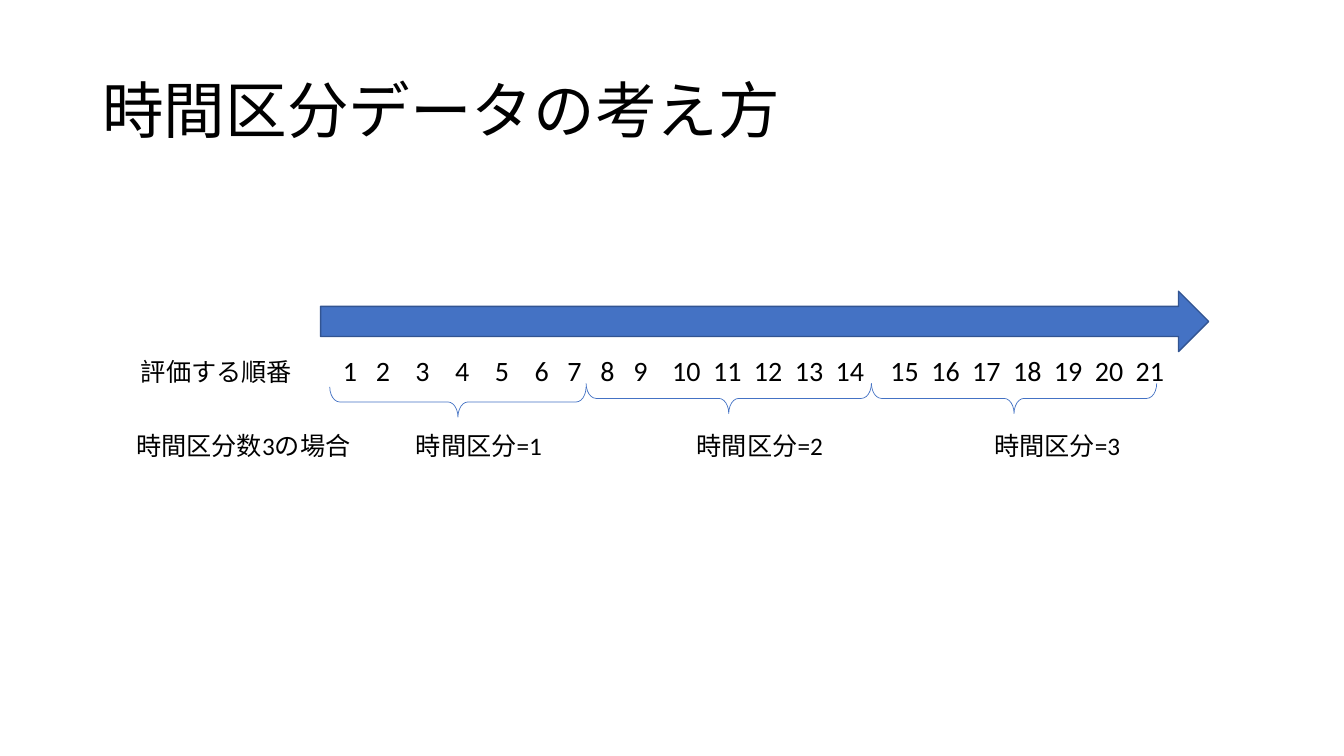
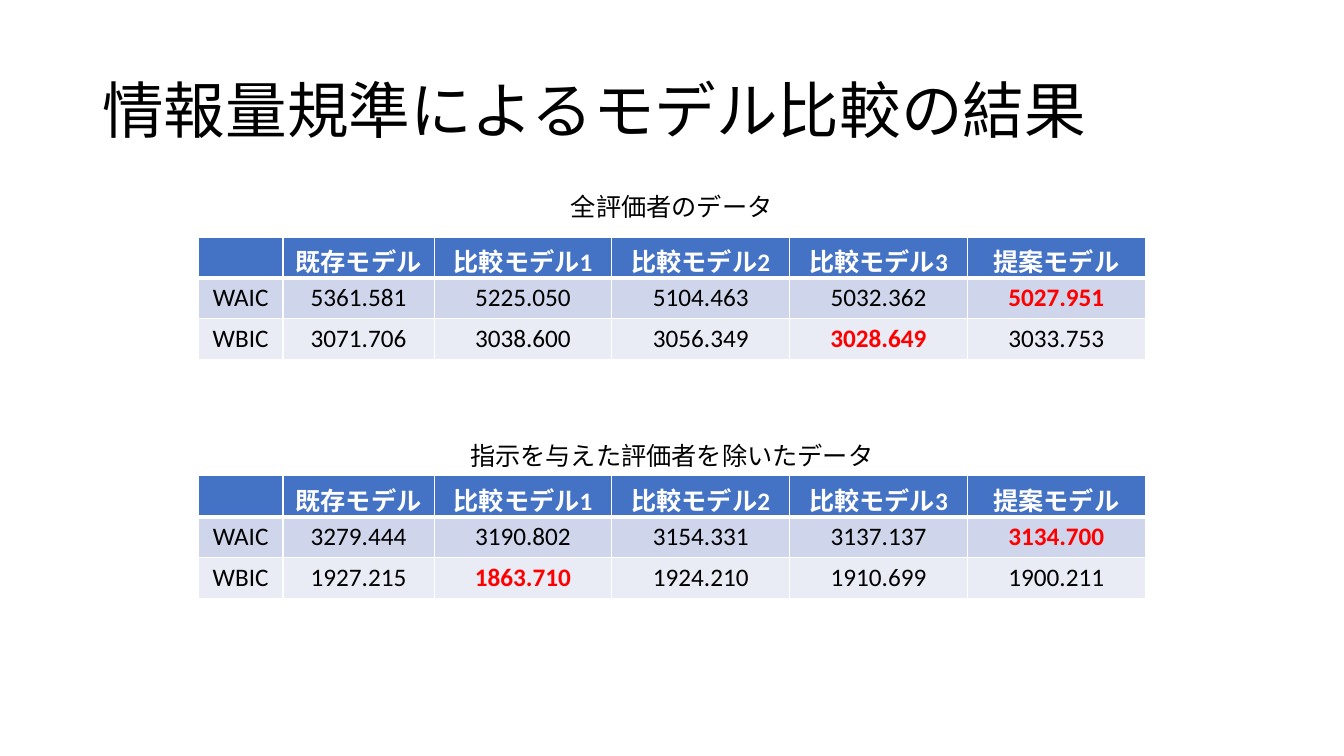
from dataclasses import dataclass
from itertools import accumulate, pairwise

from lxml import etree
from pptx import Presentation
from pptx.dml.color import RGBColor
from pptx.enum.shapes import MSO_SHAPE
from pptx.enum.text import MSO_ANCHOR, PP_ALIGN
from pptx.oxml.ns import qn
from pptx.util import Cm, Pt

ARROW, BRACE = MSO_SHAPE.RIGHT_ARROW, MSO_SHAPE.RIGHT_BRACE
TOP, MIDDLE = MSO_ANCHOR.TOP, MSO_ANCHOR.MIDDLE
LEFT, CENTER = PP_ALIGN.LEFT, PP_ALIGN.CENTER


@dataclass(frozen=True)
class Theme:
    font: str = "Calibri"
    title: int = 44
    number: int = 20
    body: int = 18
    text: str = "000000"
    white: str = "FFFFFF"
    accent: str = "4472C4"
    edge: str = "325491"
    best: str = "FF0000"
    bands: tuple = ("CFD5EA", "E9EBF5")


class Deck:
    """Draws titles, text, shapes and tables on the current slide in one theme."""

    def __init__(self, theme):
        self.theme = theme
        self.prs = Presentation()
        self.prs.slide_width, self.prs.slide_height = Cm(33.87), Cm(19.05)
        self.s = None

    def slide(self, title):
        self.s = self.prs.slides.add_slide(self.prs.slide_layouts[6])
        p = self.text((2.33, 1.01, 29.21, 3.68), [(title, self.theme.title)], anchor=MIDDLE)
        p.line_spacing = 0.9

    def run(self, p, text, size, color, bold=False):
        r = p.add_run()
        r.text = text
        fmt = {"name": self.theme.font, "size": Pt(size), "bold": bold}
        for key, value in fmt.items():
            setattr(r.font, key, value)
        r.font.color.rgb = RGBColor.from_string(color)

    def text(self, box, runs, align=LEFT, anchor=TOP):
        tf = self.s.shapes.add_textbox(*map(Cm, box)).text_frame
        fmt = {"word_wrap": True, "vertical_anchor": anchor}
        for key, value in fmt.items():
            setattr(tf, key, value)
        p = tf.paragraphs[0]
        p.alignment = align
        for text, size in runs:
            self.run(p, text, size, self.theme.text)
        return p

    def tabbed(self, box, label, items, centers, size):
        row = "".join("\t" + item for item in items)
        p = self.text(box, [(label, self.theme.body), (row, size)])
        tabs = etree.SubElement(p._p.get_or_add_pPr(), qn("a:tabLst"))
        for center in centers:
            pos = Cm(center - box[0] - 0.25)
            etree.SubElement(tabs, qn("a:tab"), pos=str(int(pos)), algn="ctr")

    def shape(self, kind, box, line, width, fill=None):
        sp = self.s.shapes.add_shape(kind, *map(Cm, box))
        sp.shadow.inherit = False
        if fill:
            sp.fill.solid()
            sp.fill.fore_color.rgb = RGBColor.from_string(fill)
        else:
            sp.fill.background()
        sp.line.color.rgb = RGBColor.from_string(line)
        sp.line.width = Pt(width)
        return sp

    def brace(self, left, right, top, depth=0.76):
        span = right - left
        x = (left + right - depth) / 2
        y = top + (depth - span) / 2
        sp = self.shape(BRACE, (x, y, depth, span), self.theme.accent, 0.5)
        sp.rotation = 90
        sp.adjustments[0] = 0.33

    def cell(self, cell, text, fill, color, bold, top, bottom):
        tcPr = cell._tc.get_or_add_tcPr()
        for side, width in {"L": 1, "R": 1, "T": top, "B": bottom}.items():
            ln = etree.SubElement(tcPr, qn("a:ln" + side), w=str(int(Pt(width))))
            solid = etree.SubElement(ln, qn("a:solidFill"))
            etree.SubElement(solid, qn("a:srgbClr"), val=self.theme.white)
        cell.fill.solid()
        cell.fill.fore_color.rgb = RGBColor.from_string(fill)
        p = cell.text_frame.paragraphs[0]
        p.alignment = CENTER
        if text:
            self.run(p, text, self.theme.body, color, bold)

    def table(self, left, top, widths, row_height, header, rows):
        t = self.theme
        box = (left, top, sum(widths), row_height * (len(rows) + 1))
        tbl = self.s.shapes.add_table(len(rows) + 1, len(header), *map(Cm, box)).table
        for col, width in zip(tbl.columns, widths):
            col.width = Cm(width)
        for j, name in enumerate(header):
            self.cell(tbl.cell(0, j), name, t.accent, t.white, True, 1, 3)
        for i, (name, values) in enumerate(rows.items()):
            texts = [name] + [f"{value:.3f}" for value in values]
            best = 1 + values.index(min(values))
            for j, text in enumerate(texts):
                color = t.best if j == best else t.text
                self.cell(tbl.cell(i + 1, j), text, t.bands[i % 2], color,
                          j == best, 1 if i else 3, 1)


def timeline(deck):
    t = deck.theme
    deck.slide("時間区分データの考え方")
    deck.shape(ARROW, (8.08, 7.34, 22.38, 1.52), t.edge, 1, t.accent)
    gaps = [0.83] + [1.0] * 4 + [0.83] * 3 + [1.16] + [1.03] * 4 + [1.38] + [1.03] * 6
    centers = list(accumulate(gaps, initial=8.82))
    numbers = [str(n + 1) for n in range(len(centers))]
    deck.tabbed((3.3, 8.79, 28.7, 1.11), "評価する順番", numbers, centers, t.number)
    edges = (8.31, 14.77, 21.96, 29.15)
    for (left, right), top in zip(pairwise(edges), (9.75, 9.66, 9.66)):
        deck.brace(left, right, top)
    parts = [f"時間区分={n}" for n in (1, 2, 3)]
    deck.tabbed((3.18, 10.72, 27.28, 1.02), "時間区分数3の場合", parts,
                (12.07, 19.15, 26.64), t.body)


def comparison(deck):
    deck.slide("情報量規準によるモデル比較の結果")
    header = ["", "既存モデル", "比較モデル1", "比較モデル2", "比較モデル3", "提案モデル"]
    widths = [2.13, 3.81] + [4.48] * 4
    left = 5
    results = [
        ("全評価者のデータ", 4.7, 5.97, {
            "WAIC": [5361.581, 5225.050, 5104.463, 5032.362, 5027.951],
            "WBIC": [3071.706, 3038.600, 3056.349, 3028.649, 3033.753]}),
        ("指示を与えた評価者を除いたデータ", 10.97, 11.99, {
            "WAIC": [3279.444, 3190.802, 3154.331, 3137.137, 3134.700],
            "WBIC": [1927.215, 1863.710, 1924.210, 1910.699, 1900.211]}),
    ]
    for caption, caption_top, table_top, rows in results:
        deck.text((left, caption_top, sum(widths), 1.02),
                  [(caption, deck.theme.body)], CENTER)
        deck.table(left, table_top, widths, 1.03, header, rows)


def main():
    deck = Deck(Theme())
    timeline(deck)
    comparison(deck)
    deck.prs.save("out.pptx")


if __name__ == "__main__":
    main()
